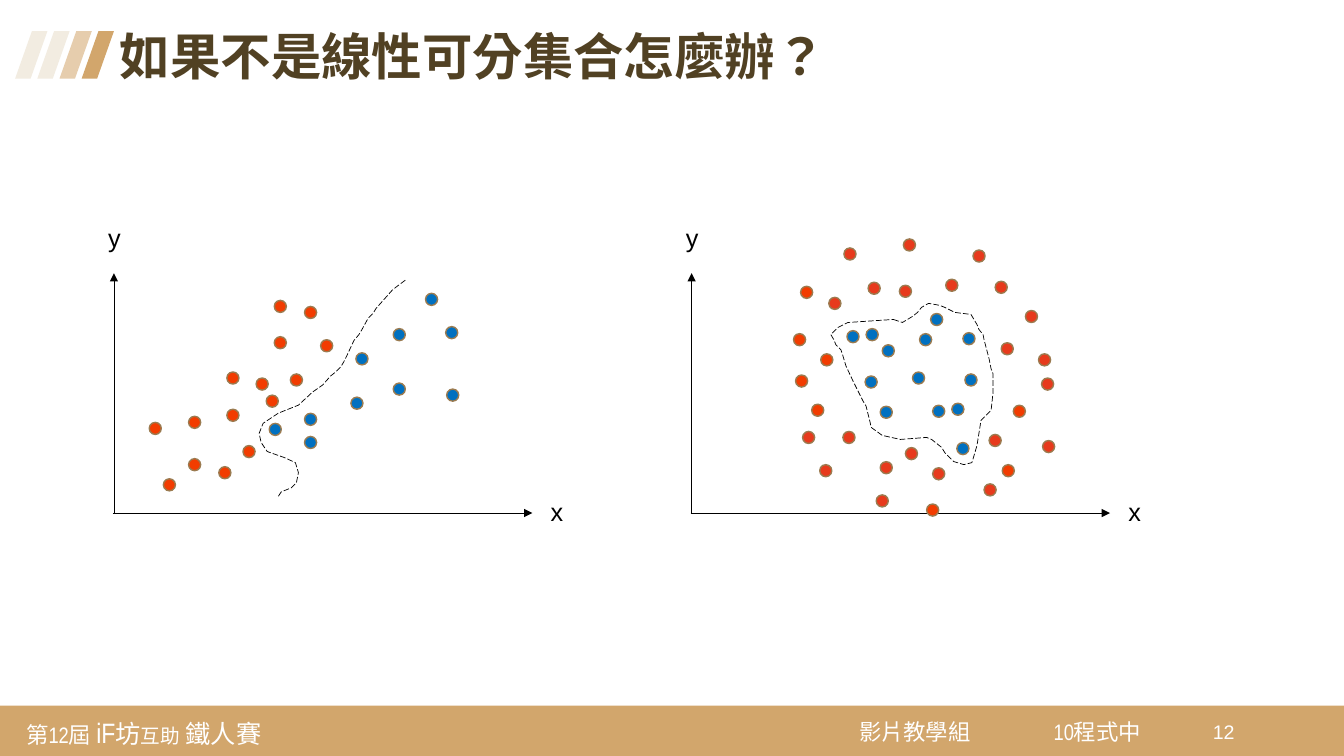
from dataclasses import dataclass

from lxml import etree
from pptx import Presentation
from pptx import util as u
from pptx.dml.color import RGBColor
from pptx.enum import dml, lang, shapes, text
from pptx.oxml import ns


@dataclass(frozen=True)
class Theme:
    font: str = "Arial"
    footer_font: str = "Arial Narrow"
    sand: str = "D2A66C"
    stripes: tuple = ("F2ECE1", "F2ECE1", "E6CDAD", "D2A66C")
    title: str = "514123"
    ink: str = "000000"
    white: str = "FFFFFF"
    outline: str = "9B7B50"
    blue: str = "0070C0"
    orange: str = "F23C00"
    red: str = "E73A1C"
    title_size: int = 36
    label_size: int = 18
    footer_size: int = 16
    page_size: int = 14
    thin: float = 0.5


THEME = Theme()
DOT = 0.12

LEFT_DOTS = {
    THEME.blue: [
        (2.67, 4.2), (3.53, 3.5), (3.9, 3.26), (3.9, 3.8), (4.22, 2.91),
        (4.42, 3.24), (3.48, 3.94), (4.43, 3.86), (3.02, 4.33), (3.02, 4.1)],
    THEME.orange: [
        (1.48, 4.19), (1.87, 4.13), (1.62, 4.75), (2.25, 4.06), (2.41, 4.42),
        (2.25, 3.69), (2.17, 4.63), (1.87, 4.55), (2.54, 3.75), (2.72, 3.34),
        (2.88, 3.71), (2.72, 2.98), (2.64, 3.92), (3.02, 3.04), (3.18, 3.37)],
}
RIGHT_DOTS = {
    THEME.blue: [
        (8.4, 3.28), (9.55, 3.3), (9.23, 3.11), (8.58, 3.73), (8.75, 3.42),
        (9.49, 4.39), (9.44, 4), (9.57, 3.71), (8.73, 4.03), (9.05, 3.69),
        (9.25, 4.02), (8.59, 3.26), (9.12, 3.31)],
    THEME.orange: [
        (9.94, 4.61), (8.05, 4.01), (7.87, 3.31), (8.14, 3.51), (7.94, 2.84),
        (7.89, 3.72), (9.19, 5), (10.05, 4.02)],
    THEME.red: [
        (9.38, 2.77), (9.65, 2.48), (9.87, 2.79), (8.98, 4.44), (10.17, 3.08),
        (9.76, 4.8), (8.61, 2.8), (8.69, 4.91), (9.93, 3.4), (7.96, 4.28),
        (8.13, 4.61), (9.81, 4.31), (10.3, 3.51), (10.33, 3.75), (10.34, 4.37),
        (8.36, 4.28), (8.73, 4.58), (9.25, 4.64), (8.22, 2.95), (8.37, 2.46),
        (8.96, 2.37), (8.92, 2.83)],
}
LEFT_BOUNDARY = [
    (4.02, 2.78), (3.94, 2.84), (3.89, 2.88), (3.81, 2.97), (3.73, 3.06),
    (3.7, 3.11), (3.65, 3.16), (3.59, 3.27), (3.56, 3.32), (3.51, 3.38),
    (3.44, 3.53), (3.41, 3.59), (3.38, 3.64), (3.33, 3.69), (3.28, 3.73),
    (3.2, 3.82), (3.1, 3.89), (2.96, 4.02), (2.81, 4.08), (2.76, 4.1),
    (2.61, 4.2), (2.57, 4.3), (2.59, 4.39), (2.65, 4.48), (2.82, 4.54),
    (2.93, 4.59), (2.96, 4.69), (2.94, 4.79), (2.89, 4.84), (2.79, 4.88),
    (2.75, 4.94)]
RIGHT_BOUNDARY = [
    (8.86, 3.17), (8.95, 3.2), (9.05, 3.14), (9.1, 3.1), (9.14, 3.05),
    (9.21, 3.01), (9.32, 3.03), (9.37, 3.05), (9.47, 3.1), (9.63, 3.12),
    (9.69, 3.22), (9.71, 3.27), (9.75, 3.32), (9.76, 3.37), (9.81, 3.56),
    (9.83, 3.66), (9.85, 3.71), (9.85, 3.89), (9.83, 4.07), (9.73, 4.17),
    (9.69, 4.42), (9.64, 4.59), (9.56, 4.61), (9.46, 4.58), (9.37, 4.49),
    (9.34, 4.44), (9.24, 4.36), (9.19, 4.34), (8.93, 4.36), (8.75, 4.32),
    (8.64, 4.24), (8.63, 4.19), (8.59, 4.03), (8.56, 3.98), (8.51, 3.88),
    (8.46, 3.78), (8.39, 3.63), (8.36, 3.53), (8.34, 3.47), (8.29, 3.42),
    (8.27, 3.37), (8.24, 3.32), (8.31, 3.25), (8.41, 3.2)]


def rgb(color):
    return RGBColor.from_string(color)


def add_block(s, kind, box, color, outline=None):
    sp = s.shapes.add_shape(kind, *map(u.Inches, box))
    sp.shadow.inherit = False
    sp.fill.solid()
    sp.fill.fore_color.rgb = rgb(color)
    if outline:
        sp.line.color.rgb = rgb(outline)
        sp.line.width = u.Pt(1)
    else:
        sp.line.fill.background()
    return sp


def add_text(s, box, runs, color, font=THEME.font, bold=False, inset=None,
             wrap=True, grow=True, middle=False, align=text.PP_ALIGN.LEFT):
    sp = s.shapes.add_textbox(*map(u.Inches, box))
    tf = sp.text_frame
    tf.word_wrap = wrap
    if grow:
        tf.auto_size = text.MSO_AUTO_SIZE.SHAPE_TO_FIT_TEXT
    if middle:
        tf.vertical_anchor = text.MSO_ANCHOR.MIDDLE
    if inset:
        tf.margin_left = tf.margin_right = u.Inches(inset)
        tf.margin_top = tf.margin_bottom = u.Inches(inset)
    p = tf.paragraphs[0]
    p.alignment = align
    for words, size in runs:
        r = p.add_run()
        r.text = words
        r.font.language_id = lang.MSO_LANGUAGE_ID.TRADITIONAL_CHINESE
        r.font.name = font
        r.font.size = u.Pt(size)
        r.font.bold = bold
        r.font.color.rgb = rgb(color)
    return p


def add_footer_text(s, box, runs):
    add_text(s, box, runs, THEME.white, THEME.footer_font, inset=0.08, middle=True)


def add_arrow(s, start, end):
    cx = s.shapes.add_connector(shapes.MSO_CONNECTOR.STRAIGHT,
                                *map(u.Inches, start + end))
    cx.line.color.rgb = rgb(THEME.ink)
    cx.line.width = u.Pt(THEME.thin)
    etree.SubElement(cx.line._get_or_add_ln(), ns.qn("a:tailEnd"), type="triangle")
    etree.SubElement(cx._element.spPr, ns.qn("a:effectLst"))


def add_axes(s, left):
    add_arrow(s, (left + 0.01, 5.09), (left + 0.01, 2.71))
    add_arrow(s, (left, 5.09), (left + 4.16, 5.09))
    for name, dx, top in (("x", 4.24, 4.87), ("y", -0.15, 2.16)):
        add_text(s, (left + dx, top, 0.33, 0.4), [(name, THEME.label_size)],
                 THEME.ink, wrap=False, align=text.PP_ALIGN.CENTER)


def add_boundary(s, points, closed):
    start, *rest = [tuple(map(u.Inches, point)) for point in points]
    builder = s.shapes.build_freeform(*start)
    builder.add_line_segments(rest, close=closed)
    sp = builder.convert_to_shape()
    sp.shadow.inherit = False
    sp.fill.background()
    sp.line.color.rgb = rgb(THEME.ink)
    sp.line.width = u.Pt(THEME.thin)
    sp.line.dash_style = dml.MSO_LINE.LONG_DASH


def add_plot(s, left, dots, boundary, closed):
    add_axes(s, left)
    for color, places in dots.items():
        for x, y in places:
            add_block(s, shapes.MSO_SHAPE.OVAL, (x, y, DOT, DOT), color, THEME.outline)
    add_boundary(s, boundary, closed)


def add_footer(s):
    add_block(s, shapes.MSO_SHAPE.RECTANGLE, (0, 7, 13.33, 0.5), THEME.sand)
    size = THEME.footer_size
    add_footer_text(s, (0.18, 7.02, 2.83, 0.49), [
        ("第12屆 ", size), ("iF", 20), ("坊", 18), ("互助", 14), (" 鐵人賽", 18)])
    add_footer_text(s, (8.44, 7.04, 1.33, 0.43), [("影片教學組", size)])
    add_footer_text(s, (10.37, 7.04, 1.33, 0.43), [("10程式中", size)])
    add_text(s, (11.93, 7.09, 0.42, 0.41), [("12", THEME.page_size)],
             THEME.white, grow=False)


def add_title(s):
    for i, color in reversed(list(enumerate(THEME.stripes))):
        sp = add_block(s, shapes.MSO_SHAPE.PARALLELOGRAM,
                       (0.15 + 0.22 * i, 0.31, 0.32, 0.47), color)
        sp.adjustments[0] = 0.52
    p = add_text(s, (1.09, 0.27, 10.19, 0.65),
                 [("如果不是線性可分集合怎麼辦？", THEME.title_size)],
                 THEME.title, bold=True)
    p.line_spacing = 0.9


def main():
    prs = Presentation()
    prs.slide_width, prs.slide_height = u.Inches(13.33), u.Inches(7.5)
    s = prs.slides.add_slide(prs.slide_layouts[6])
    add_footer(s)
    add_title(s)
    add_plot(s, 1.12, LEFT_DOTS, LEFT_BOUNDARY, closed=False)
    add_plot(s, 6.85, RIGHT_DOTS, RIGHT_BOUNDARY, closed=True)
    prs.save("out.pptx")


if __name__ == "__main__":
    main()
